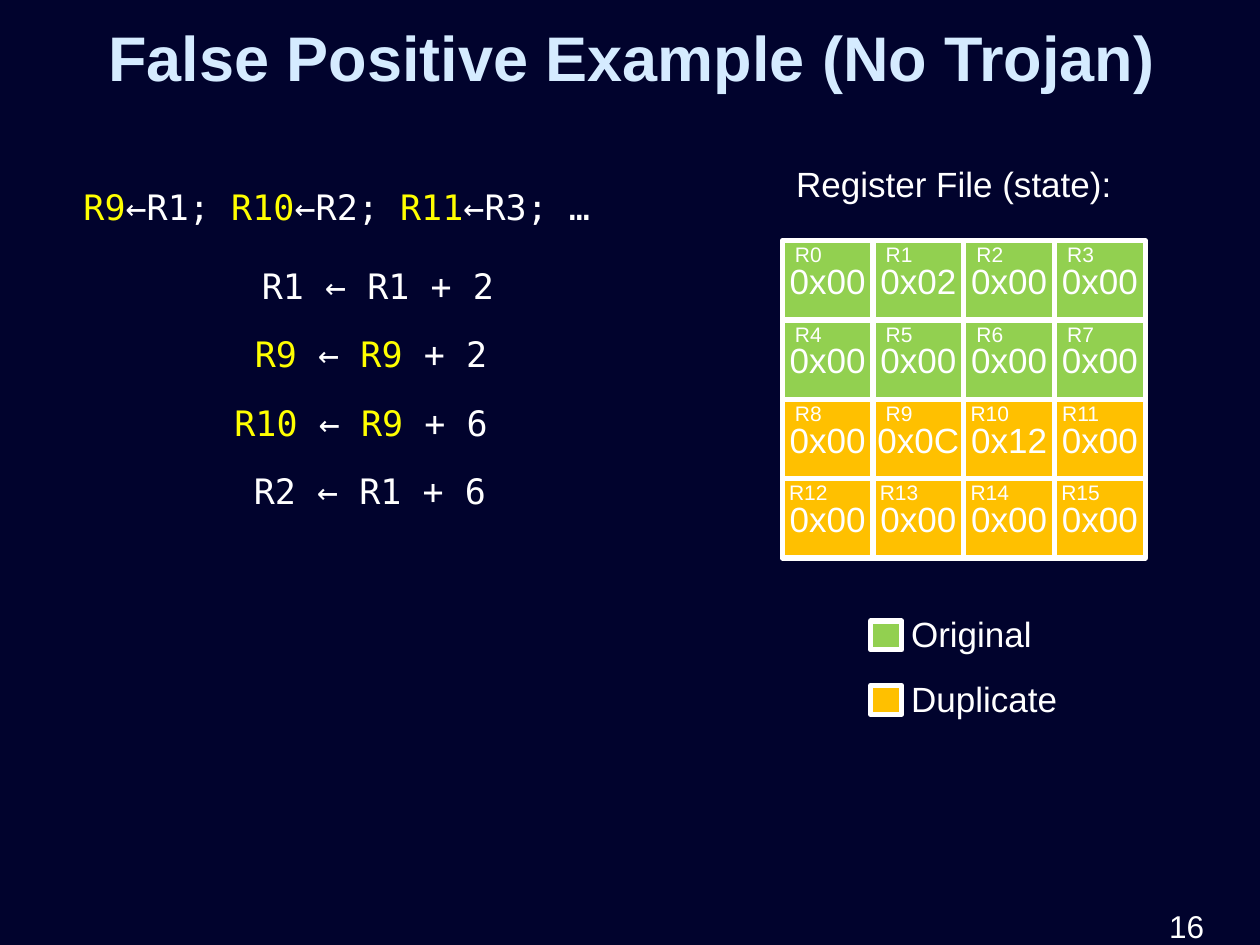
from pptx import Presentation
from pptx.util import Cm, Pt
from pptx.dml.color import RGBColor
from pptx.enum.shapes import MSO_SHAPE
from pptx.enum.text import MSO_ANCHOR, PP_ALIGN

RECT = MSO_SHAPE.RECTANGLE
MID = MSO_ANCHOR.MIDDLE
LEFT, CENTER = PP_ALIGN.LEFT, PP_ALIGN.CENTER
HUES = {name: RGBColor.from_string(code) for name, code in {
    "navy": "01032D", "pale": "D5EBFF", "white": "FFFFFF",
    "yellow": "FFFF00", "green": "92D050", "amber": "FFC000"}.items()}

deck = Presentation()
deck.slide_width, deck.slide_height = Cm(25.4), Cm(19.05)
slide = deck.slides.add_slide(deck.slide_layouts[6])
slide.background.fill.solid()
slide.background.fill.fore_color.rgb = HUES["navy"]


def label(x, y, w, h, text, size, align=CENTER, hue="white", wrap=True):
    box = slide.shapes.add_textbox(Cm(x), Cm(y), Cm(w), Cm(h))
    box.text_frame.word_wrap = wrap
    para = box.text_frame.paragraphs[0]
    para.text = text
    para.alignment = align
    para.font.name = "Arial"
    para.font.size = Pt(size)
    para.font.color.rgb = HUES[hue]
    return box.text_frame, para


def block(x, y, w, h, hue):
    shape = slide.shapes.add_shape(RECT, Cm(x), Cm(y), Cm(w), Cm(h))
    shape.shadow.inherit = False
    shape.fill.solid()
    shape.fill.fore_color.rgb = HUES[hue]
    shape.line.color.rgb = HUES["white"]
    shape.line.width = Pt(3)
    return shape


frame, para = label(0.28, 0.23, 24.92, 1.8, "False Positive Example (No Trojan)",
                    36, hue="pale")
frame.vertical_anchor = MID
para.font.bold = True

CODE = [
    (0.4, 3.2, "R9|←R1; |R10|←R2; |R11|←R3; …"),
    (1.23, 4.78, "|R1 ← R1 + 2"),
    (1.09, 6.15, "R9 |←| R9 |+ 2"),
    (0.89, 7.54, "R10 |←| R9 |+ 6"),
    (1.07, 8.92, "|R2 ← R1 + 6"),
]
for x, y, line in CODE:
    frame, para = label(x, y, 12.78, 1.4, "", 20)
    para.font.name = "DejaVu Sans Mono"
    para.line_spacing = 1.5
    para.space_after = Pt(6)
    for i, part in enumerate(line.split("|")):
        if part:
            run = para.add_run()
            run.text = part
            run.font.name = "DejaVu Sans Mono"
            run.font.size = Pt(20)
            run.font.color.rgb = HUES["white" if i % 2 else "yellow"]

frame, para = label(12.88, 2.72, 12.7, 1.4, "Register File (state):", 20)
para.line_spacing = 1.5
para.space_after = Pt(6)

WIDE, HIGH = 1.83, 1.6
STATE = {1: "0x02", 9: "0x0C", 10: "0x12"}
for i in range(16):
    row, col = divmod(i, 4)
    x, y = 15.77 + col * WIDE, 4.85 + row * HIGH
    cell = block(x, y, WIDE, HIGH, "green" if i < 8 else "amber")
    frame = cell.text_frame
    frame.word_wrap = False
    frame.vertical_anchor = MID
    para = frame.paragraphs[0]
    para.text = STATE.get(i, "0x00")
    para.alignment = CENTER
    para.font.name = "Arial"
    para.font.size = Pt(20)
    para.font.color.rgb = HUES["white"]
    label(x - 0.15, y - 0.1, 1.35, 0.76, f"R{i}", 12)

KEY = [(12.52, 12.22, 2.97, "green", "Original"),
       (13.82, 13.54, 3.48, "amber", "Duplicate")]
for top, y, w, hue, name in KEY:
    block(17.55, top, 0.63, 0.58, hue)
    label(18.1, y, w, 1.12, name, 20, wrap=False)

label(23.32, 18.16, 2.08, 0.89, "16", 18, LEFT)

deck.save("out.pptx")
